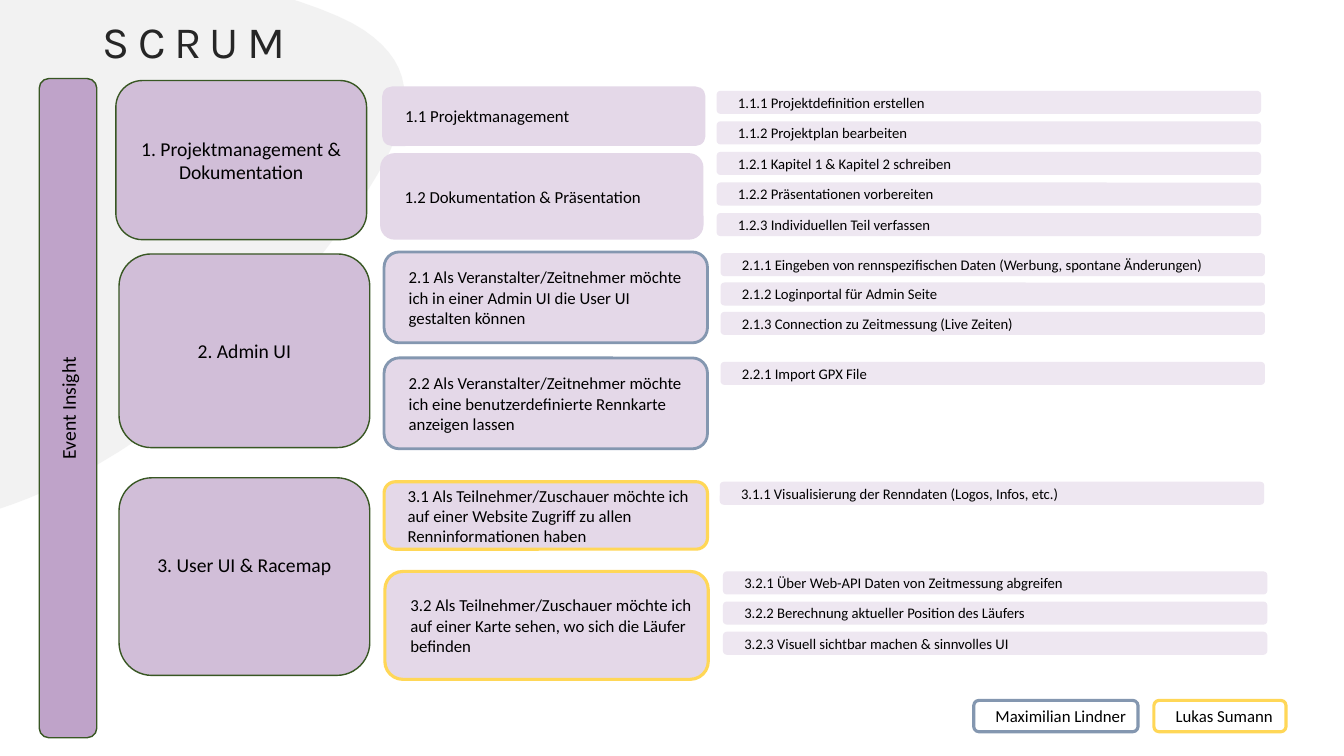
import pptx
import pptx.util
import pptx.dml.color
import pptx.enum.shapes
import pptx.enum.text
import lxml.etree
from pptx.util import Cm, Pt

BLUE, YELLOW, GREEN = "8497B0", "FFD757", "385723"
ALIGN = pptx.enum.text.PP_ALIGN


def color(hex_string):
    return pptx.dml.color.RGBColor.from_string(hex_string)


def add_box(text, left, top, width, height, fill, size, line=None, line_width=1, centered=False):
    box = page.shapes.add_shape(pptx.enum.shapes.MSO_SHAPE.ROUNDED_RECTANGLE,
                                Cm(left), Cm(top), Cm(width), Cm(height))
    box.shadow.inherit = False
    box.fill.solid()
    box.fill.fore_color.rgb = color(fill)
    if line:
        box.line.color.rgb = color(line)
        box.line.width = Pt(line_width)
    else:
        box.line.fill.background()
    frame = box.text_frame
    frame.word_wrap = True
    frame.vertical_anchor = pptx.enum.text.MSO_ANCHOR.MIDDLE
    if not centered:
        frame.margin_left = Cm(0.51)
    para = frame.paragraphs[0]
    para.alignment = ALIGN.CENTER if centered else ALIGN.LEFT
    span = para.add_run()
    span.text = text
    span.font.name = "Calibri"
    span.font.size = Pt(size)
    span.font.color.rgb = color("000000")
    return box


deck = pptx.Presentation()
deck.slide_width, deck.slide_height = Cm(33.87), Cm(19.05)
page = deck.slides.add_slide(deck.slide_layouts[6])

# Grey background blob: cubic curves sampled into short segments
start = (6.68, 8.18)
curves = [
    ((3.25, 12.24), (-1.42, 13.64), (-2.84, 13.11)),
    ((-4.24, 12.55), (-1.24, 7.11), (-1.73, 4.88)),
    ((-2.21, 2.67), (-9.63, 2.62), (-5.72, -0.23)),
    ((-2.64, -2.46), (7.09, -0.64), (9.17, 0.76)),
    ((11.23, 2.16), (10.08, 4.11), start),
]
steps = 24
outline = []
anchor = start
for curve in curves:
    for step in range(1, steps + 1):
        t = step / steps
        weights = ((1 - t) ** 3, 3 * t * (1 - t) ** 2, 3 * t ** 2 * (1 - t), t ** 3)
        controls = (anchor, *curve)
        outline.append(tuple(Cm(sum(w * point[axis] for w, point in zip(weights, controls)))
                             for axis in (0, 1)))
    anchor = curve[-1]
builder = page.shapes.build_freeform(Cm(start[0]), Cm(start[1]))
builder.add_line_segments(outline, close=True)
blob = builder.convert_to_shape()
blob.shadow.inherit = False
blob.line.fill.background()
blob.fill.solid()
blob.fill.fore_color.rgb = color("E7E7E7")
drawing = "{http://schemas.openxmlformats.org/drawingml/2006/main}"
fill_color = blob.element.spPr.find(f"{drawing}solidFill/{drawing}srgbClr")
lxml.etree.SubElement(fill_color, f"{drawing}alpha").set("val", "53000")

# Title
title = page.shapes.add_textbox(Cm(2.34), Cm(0.08), Cm(29.2), Cm(2.06))
title.text_frame.word_wrap = True
title.text_frame.vertical_anchor = pptx.enum.text.MSO_ANCHOR.MIDDLE
para = title.text_frame.paragraphs[0]
para.line_spacing = 0.9
span = para.add_run()
span.text = "SCRUM"
span.font.name = "Karla"
span.font.size = Pt(32)
span.font.color.rgb = color("262626")
span.font._element.set("spc", "600")

# Project bar
project = add_box("Event Insight", 0.99, 1.98, 1.45, 16.61, "BFA3C9", 14, GREEN, centered=True)
project.text_frame._txBody.bodyPr.set("vert", "vert270")

# Epics: text, left, top, height, bottom margin
epics = [
    ("1. Projektmanagement & Dokumentation", 2.92, 2.03, 4.01, 0.13),
    ("2. Admin UI", 3, 6.4, 4.88, 0.13),
    ("3. User UI & Racemap", 3, 12.04, 4.98, 0.72),
]
for text, left, top, height, bottom in epics:
    epic = add_box(text, left, top, 6.32, height, "D1BED8", 14, GREEN, centered=True)
    epic.text_frame.margin_bottom = Cm(bottom)

# Stories: text, left, top, height, line colour, line width
stories = [
    ("1.1 Projektmanagement", 9.63, 2.18, 1.5, None, 0),
    ("1.2 Dokumentation & Präsentation", 9.58, 3.86, 2.18, None, 0),
    ("2.1 Als Veranstalter/Zeitnehmer möchte ich in einer Admin UI die User UI gestalten können",
     9.68, 6.35, 2.29, BLUE, 2),
    ("2.2 Als Veranstalter/Zeitnehmer möchte ich eine benutzerdefinierte Rennkarte anzeigen lassen",
     9.68, 9.02, 2.29, BLUE, 2),
    ("3.1 Als Teilnehmer/Zuschauer möchte ich auf einer Website Zugriff zu allen "
     "Renninformationen haben", 9.68, 12.14, 1.7, YELLOW, 2.25),
    ("3.2 Als Teilnehmer/Zuschauer möchte ich auf einer Karte sehen, wo sich die Läufer befinden",
     9.7, 14.4, 2.72, YELLOW, 2.25),
]
for text, left, top, height, line, line_width in stories:
    add_box(text, left, top, 8.15, height, "E4D8E8", 12, line, line_width)

# Task groups: left, first top, pitch, texts
task_groups = [
    (18.06, 2.29, 0.77, ["1.1.1 Projektdefinition erstellen",
                         "1.1.2 Projektplan bearbeiten",
                         "1.2.1 Kapitel 1 & Kapitel 2 schreiben",
                         "1.2.2 Präsentationen vorbereiten",
                         "1.2.3 Individuellen Teil verfassen"]),
    (18.16, 6.38, 0.74, ["2.1.1 Eingeben von rennspezifischen Daten (Werbung, spontane Änderungen)",
                         "2.1.2 Loginportal für Admin Seite",
                         "2.1.3 Connection zu Zeitmessung (Live Zeiten)"]),
    (18.16, 9.12, 0, ["2.2.1 Import GPX File"]),
    (18.14, 12.14, 0, ["3.1.1 Visualisierung der Renndaten (Logos, Infos, etc.)"]),
    (18.22, 14.4, 0.76, ["3.2.1 Über Web-API Daten von Zeitmessung abgreifen",
                         "3.2.2 Berechnung aktueller Position des Läufers",
                         "3.2.3 Visuell sichtbar machen & sinnvolles UI"]),
]
for left, first_top, pitch, texts in task_groups:
    for index, text in enumerate(texts):
        add_box(text, left, first_top + index * pitch, 13.72, 0.58, "EEE7F1", 10.5)

# Legend of responsible people
for name, left, width, line in [("Maximilian Lindner", 24.54, 4.14, BLUE),
                                ("Lukas Sumann", 29.08, 3.33, YELLOW)]:
    add_box(name, left, 17.65, width, 0.79, "FFFFFF", 12, line, 2.25)

deck.save("out.pptx")
